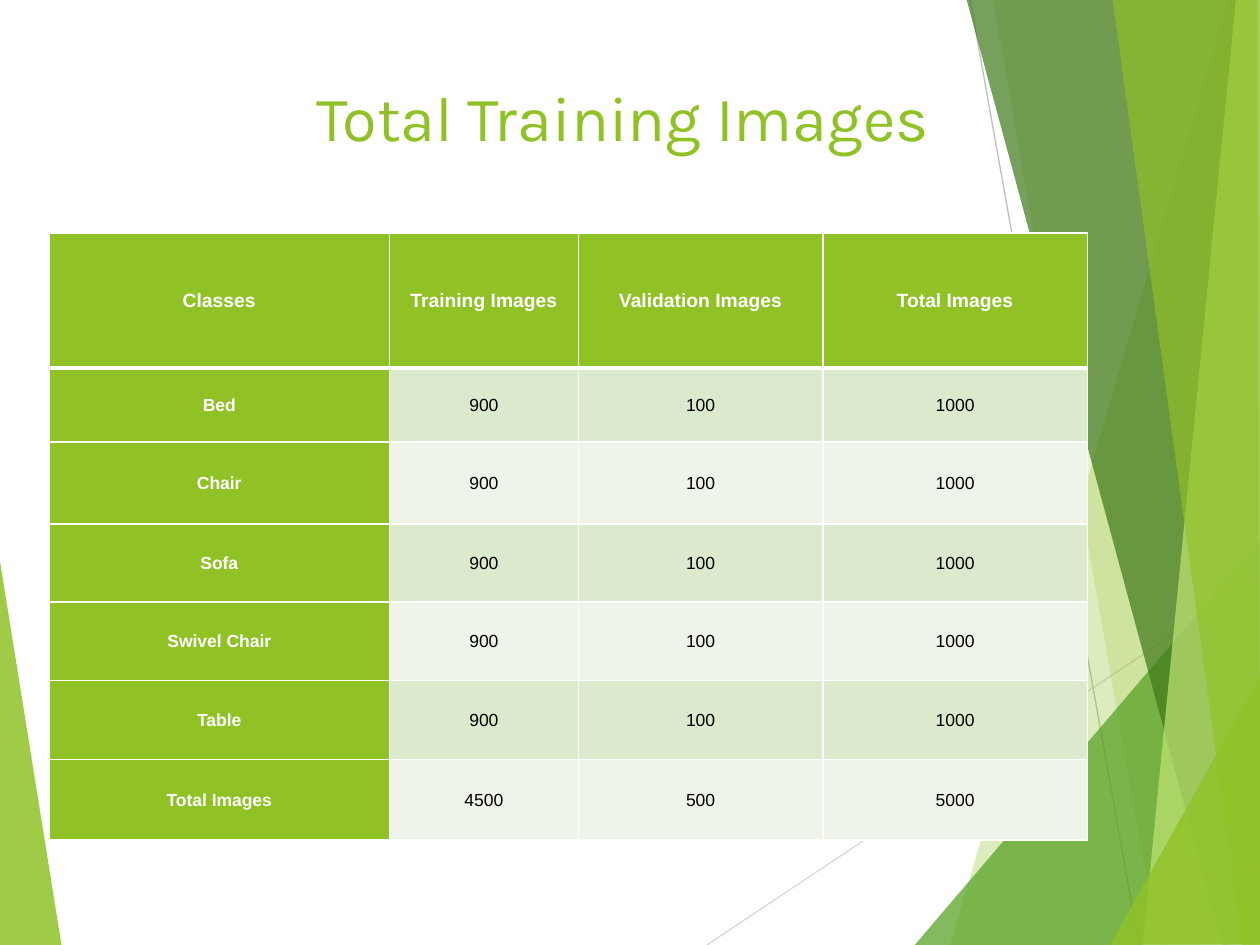
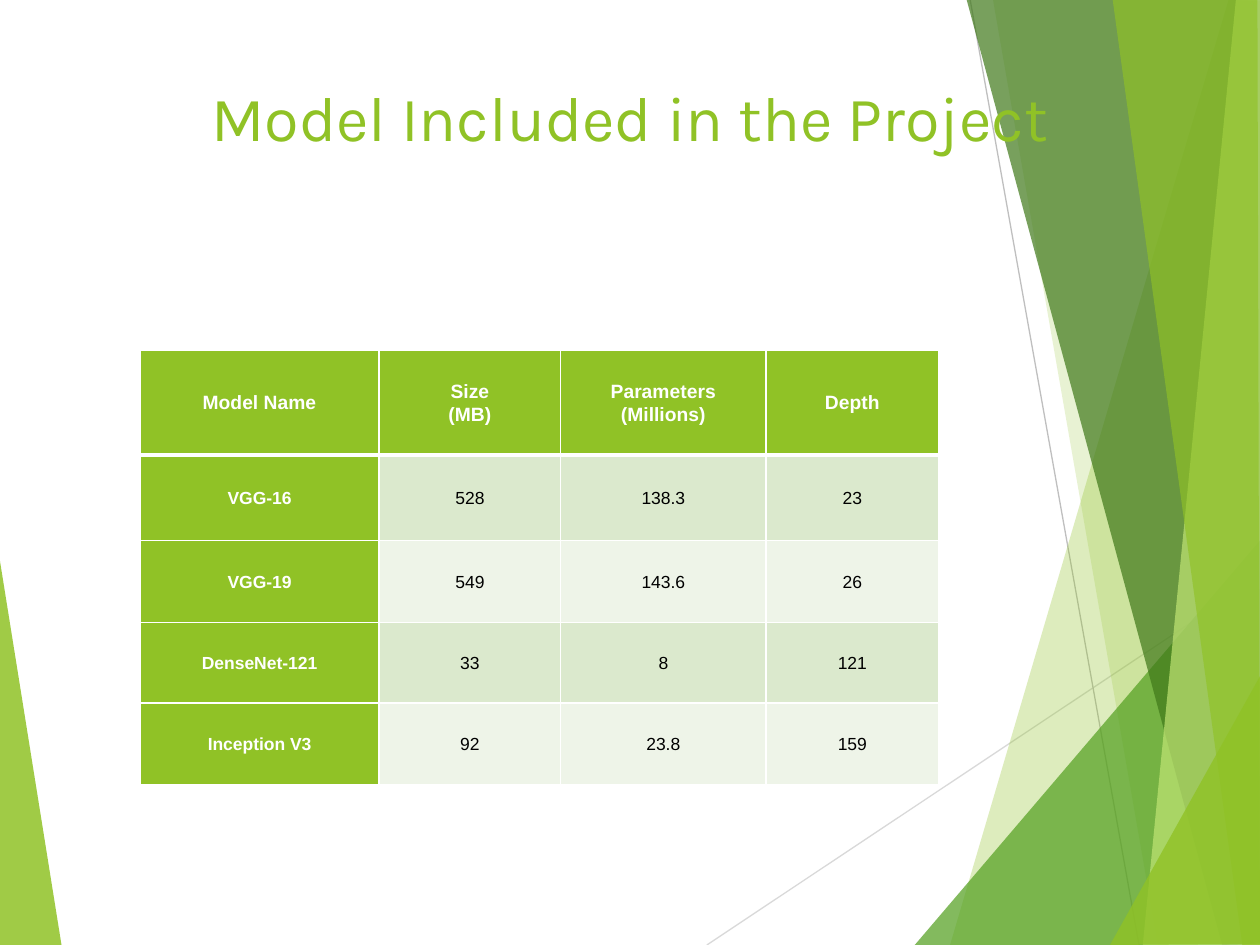
from lxml.etree import SubElement
from pptx import Presentation
from pptx.dml.color import RGBColor
from pptx.enum.shapes import MSO_CONNECTOR as Connector
from pptx.enum.text import MSO_ANCHOR as Anchor, PP_ALIGN as Align
from pptx.oxml.ns import qn
from pptx.util import Inches, Pt

COLORS = {
    "lime": "90C226", "green": "54A021", "forest": "3F7819", "pale": "C0E474",
    "light_gray": "D9D9D9", "gray": "BFBFBF", "white": "FFFFFF",
    "black": "000000", "band_dark": "DBE9CD", "band_light": "EEF4E8",
}
TITLE_FONT, TABLE_FONT = "Karla", "Arial"

LEFT_WEDGE = ("lime", 85, [(-0.01, 4.39), (0.49, 7.51), (-0.01, 7.5)])
GUIDE_LINES = [
    ("light_gray", (5.61, 7.5), (10.01, 4.57)),
    ("gray", (7.7, 0), (9.04, 7.5)),
]
RIGHT_FACETS = [
    ("lime", 30, [(9.75, 0), (7.54, 7.5), (10.02, 7.51), (10.01, 0.01)]),
    ("lime", 20, [(7.88, -0.01), (9.19, 7.5), (10.01, 7.5), (10.01, -0.01)]),
    ("green", 72, [(7.26, 7.5), (10, 4.29), (10.01, 7.5)]),
    ("forest", 70, [(7.67, -0.01), (9.7, 7.5), (10.01, 7.49), (10.01, -0.01)]),
    ("pale", 70, [(9.81, -0.01), (9.07, 7.5), (10.01, 7.5), (10, -0.01)]),
    ("lime", 65, [(8.83, -0.01), (9.86, 7.5), (10, 7.5), (9.98, -0.01)]),
    ("lime", 80, [(8.81, 7.5), (10.01, 5.35), (10.01, 7.49)]),
]

CLASSES = ["Bed", "Chair", "Sofa", "Swivel Chair", "Table"]
IMAGE_ROWS = [
    ["Classes", "Training Images", "Validation Images", "Total Images"],
    *[[name, "900", "100", "1000"] for name in CLASSES],
    ["Total Images", "4500", "500", "5000"],
]
MODEL_ROWS = [
    ["Model Name", "Size\n(MB)", "Parameters\n(Millions)", "Depth"],
    ["VGG-16", "528", "138.3", "23"],
    ["VGG-19", "549", "143.6", "26"],
    ["DenseNet-121", "33", "8", "121"],
    ["Inception V3", "92", "23.8", "159"],
]


def rgb(name):
    return RGBColor.from_string(COLORS[name])


class FacetDeck:
    def __init__(self):
        self.deck = Presentation()
        self.deck.slide_width, self.deck.slide_height = Inches(10), Inches(7.5)
        self.layout = self.deck.slide_layouts[5]
        self.page = None

    def add_page(self, title):
        self.page = self.deck.slides.add_slide(self.layout)
        box = self.page.shapes.title
        box.left, box.top = Inches(0.5), Inches(0.3)
        box.width, box.height = Inches(9), Inches(1.25)
        frame = box.text_frame
        frame.text = title
        frame.vertical_anchor = Anchor.MIDDLE
        frame.margin_left = frame.margin_right = 0
        frame.margin_top = frame.margin_bottom = 0
        self.format_para(frame.paragraphs[0], TITLE_FONT, 36, "lime")

    def format_para(self, para, font, size, color, bold=False):
        para.alignment = Align.CENTER
        for span in para.runs:
            span.font.name = font
            span.font.size = Pt(size)
            span.font.bold = bold
            span.font.color.rgb = rgb(color)

    def add_facet(self, color, opacity, points):
        corners = [(Inches(x), Inches(y)) for x, y in points]
        builder = self.page.shapes.build_freeform(*corners[0])
        builder.add_line_segments(corners[1:], close=True)
        facet = builder.convert_to_shape()
        facet.shadow.inherit = False
        facet.line.fill.background()
        facet.fill.solid()
        facet.fill.fore_color.rgb = rgb(color)
        tint = facet._element.spPr.find(qn("a:solidFill"))[0]
        SubElement(tint, qn("a:alpha"), val=str(opacity * 1000))
        return facet

    def add_guide(self, color, start, end):
        ends = [Inches(value) for value in (*start, *end)]
        guide = self.page.shapes.add_connector(Connector.STRAIGHT, *ends)
        guide.line.color.rgb = rgb(color)
        guide.line.width = Pt(0.75)
        SubElement(guide._element.spPr, qn("a:effectLst"))
        return guide

    def share_backdrop(self):
        backdrop = [self.add_facet(*LEFT_WEDGE)]
        backdrop += [self.add_guide(*guide) for guide in GUIDE_LINES]
        backdrop += [self.add_facet(*facet) for facet in RIGHT_FACETS]
        tree = self.layout.shapes._spTree
        for index, shape in enumerate(backdrop):
            shape._element.xpath(".//p:cNvPr")[0].set("id", str(100 + index))
            tree.insert(2 + index, shape._element)

    def add_border(self, cell, side, width):
        line = SubElement(cell._tc.get_or_add_tcPr(), qn(f"a:ln{side}"), w=str(Pt(width)))
        fill = SubElement(line, qn("a:solidFill"))
        SubElement(fill, qn("a:srgbClr"), val=COLORS["white"])

    def fill_cell(self, cell, text, row, column, space_after):
        is_label = row == 0 or column == 0
        cell.text_frame.text = text
        cell.vertical_anchor = Anchor.MIDDLE
        cell.margin_left = cell.margin_right = Inches(0.07)
        cell.margin_top = cell.margin_bottom = 0
        for para in cell.text_frame.paragraphs:
            para.line_spacing = 1.06
            para.space_after = Pt(0 if "\n" in text else space_after)
            self.format_para(para, TABLE_FONT, 10 if row else 11,
                             "white" if is_label else "black", is_label)
        heavy_side = {0: "B", 1: "T"}.get(row)
        for side in "LRTB":
            self.add_border(cell, side, 3 if side == heavy_side else 1)
        band = "band_dark" if row % 2 else "band_light"
        cell.fill.solid()
        cell.fill.fore_color.rgb = rgb("lime" if is_label else band)

    def add_table(self, left, top, widths, heights, rows, space_after=0):
        table = self.page.shapes.add_table(
            len(rows), len(widths), Inches(left), Inches(top),
            Inches(sum(widths)), Inches(sum(heights))).table
        table.horz_banding = False
        for column, width in zip(table.columns, widths):
            column.width = Inches(width)
        for line, height in zip(table.rows, heights):
            line.height = Inches(height)
        for row, texts in enumerate(rows):
            for column, text in enumerate(texts):
                self.fill_cell(table.cell(row, column), text, row, column, space_after)


def main():
    facets = FacetDeck()

    facets.add_page("Total Training Images ")
    facets.share_backdrop()
    facets.add_table(0.39, 1.85, [2.7, 1.5, 1.94, 2.1],
                     [1.07, 0.59, 0.65, 0.62, 0.62, 0.63, 0.64], IMAGE_ROWS)

    facets.add_page("Model Included in the Project")
    facets.add_table(1.11, 2.78, [1.9, 1.44, 1.63, 1.37],
                     [0.83, 0.68, 0.65, 0.64, 0.65], MODEL_ROWS, space_after=6)

    facets.deck.save("out.pptx")


if __name__ == "__main__":
    main()
